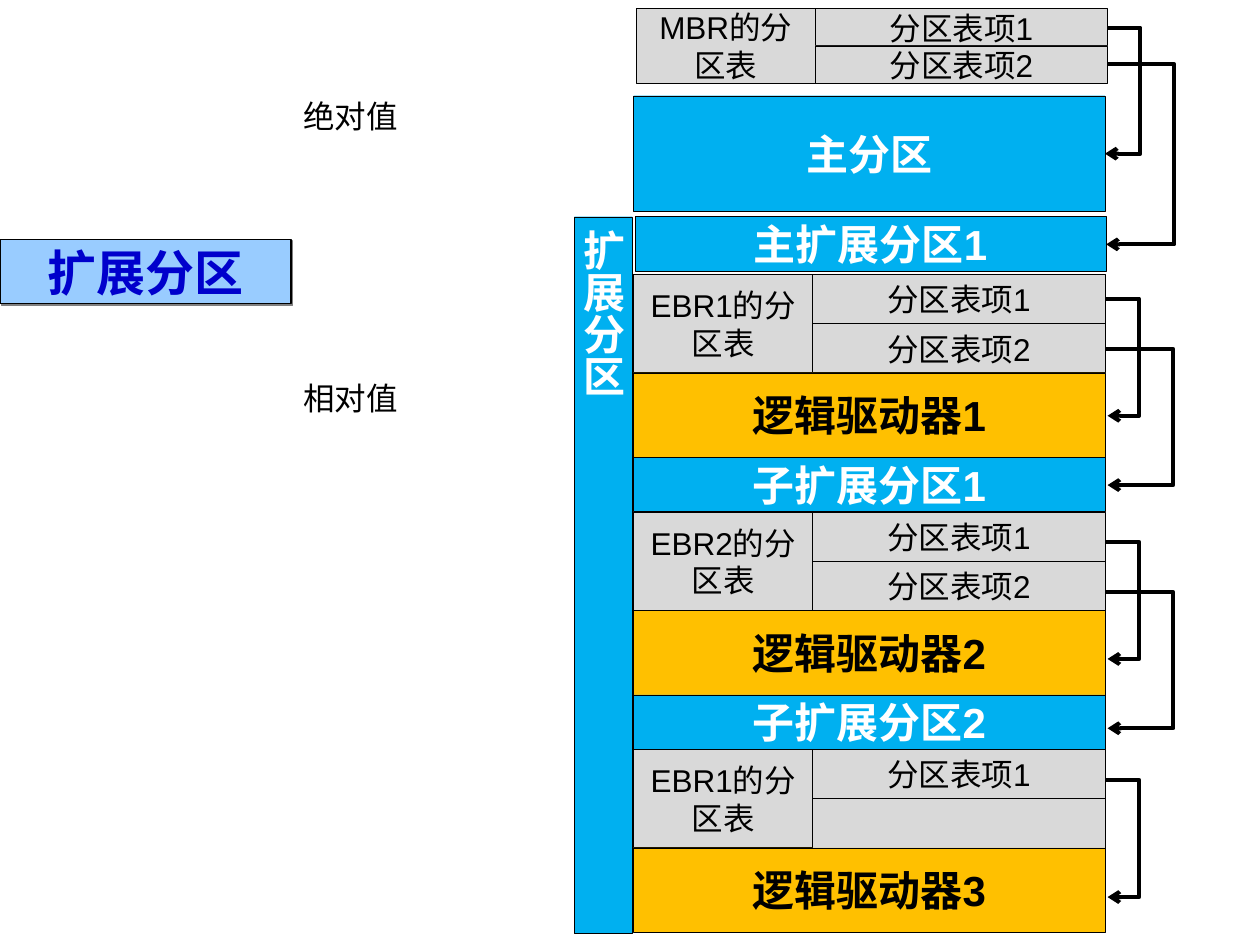
from lxml import etree
from pptx import Presentation
from pptx.dml.color import RGBColor
from pptx.enum.shapes import MSO_CONNECTOR, MSO_SHAPE
from pptx.enum.text import MSO_ANCHOR, MSO_AUTO_SIZE, PP_ALIGN
from pptx.oxml import parse_xml
from pptx.oxml.ns import nsdecls, qn
from pptx.util import Inches, Pt

RECT = MSO_SHAPE.RECTANGLE
ELBOW = MSO_CONNECTOR.ELBOW
MIDDLE = MSO_ANCHOR.MIDDLE
CENTER = PP_ALIGN.CENTER
FIT = MSO_AUTO_SIZE.SHAPE_TO_FIT_TEXT

COLORS = {
    "black": "000000", "white": "FFFFFF", "blue": "00B0F0",
    "gray": "D9D9D9", "gold": "FFC000", "sky": "99CCFF", "navy": "0000CC",
}
STYLES = {
    "table": ("gray", "black", 18, False, 0.5),
    "area": ("blue", "white", 24, True, 0.25),
    "drive": ("gold", "black", 24, True, 0.25),
    "heading": ("sky", "navy", 28, True, 0.75),
}

LEFT, NAME_W, ENTRY_W = 5.03, 1.42, 2.32
FULL_W = NAME_W + ENTRY_W
RIGHT = LEFT + FULL_W
EBR_TOP, PERIOD = 2.18, 1.885
ENTRY_H, DRIVE_H, AREA_H = 0.39, 0.67, 0.43

prs = Presentation()
prs.slide_width, prs.slide_height = Inches(10), Inches(7.5)
s = prs.slides.add_slide(prs.slide_layouts[6])


def add_box(text, style, x, y, w, h):
    fill, ink, size, bold, line = STYLES[style]
    sp = s.shapes.add_shape(RECT, Inches(x), Inches(y), Inches(w), Inches(h))
    sp.shadow.inherit = False
    sp.fill.solid()
    sp.fill.fore_color.rgb = RGBColor.from_string(COLORS[fill])
    sp.line.color.rgb = RGBColor.from_string(COLORS["black"])
    sp.line.width = Pt(line)
    tf = sp.text_frame
    tf.word_wrap = True
    tf.vertical_anchor = MIDDLE
    if text:
        p = tf.paragraphs[0]
        p.alignment = CENTER
        r = p.add_run()
        r.text = text
        r.font.name, r.font.size, r.font.bold = "Arial", Pt(size), bold
        r.font.color.rgb = RGBColor.from_string(COLORS[ink])
    return sp


def add_arrow(x1, y1, x2, y2, bend):
    cn = s.shapes.add_connector(ELBOW, Inches(x1), Inches(y1), Inches(x2), Inches(y2))
    cn.line.color.rgb = RGBColor.from_string(COLORS["black"])
    cn.line.width = Pt(2.25)
    etree.SubElement(cn.line._get_or_add_ln(), qn("a:tailEnd"), type="arrow")
    guides = cn._element.spPr.find(qn("a:prstGeom")).get_or_add_avLst()
    share = round((bend - x1) / (x2 - x1) * 100000)
    etree.SubElement(guides, qn("a:gd"), name="adj1", fmla=f"val {share}")
    etree.SubElement(cn._element.spPr, qn("a:effectLst"))


heading = add_box("扩展分区", "heading", 0, 1.9, 2.31, 0.51)
heading.text_frame.word_wrap = False
spPr = heading._element.spPr
spPr.remove(spPr.find(qn("a:effectLst")))
spPr.append(parse_xml(
    f'<a:effectLst {nsdecls("a")}><a:outerShdw dist="17780" dir="2700000" algn="ctr" rotWithShape="0">'
    '<a:srgbClr val="808080"/></a:outerShdw></a:effectLst>'))

extended = add_box("扩展分区", "area", 4.56, 1.72, 0.46, 5.69)
tf = extended.text_frame
tf.margin_left = tf.margin_right = Inches(0.05)
tf.margin_top = tf.margin_bottom = Inches(0.1)
tf._txBody.bodyPr.set("vert", "eaVert")

tables = [
    ("MBR的分区表", LEFT + 0.02, 0.07, 0.295, ["分区表项1", "分区表项2"]),
    ("EBR1的分区表", LEFT, EBR_TOP, ENTRY_H, ["分区表项1", "分区表项2"]),
    ("EBR2的分区表", LEFT, EBR_TOP + PERIOD, ENTRY_H, ["分区表项1", "分区表项2"]),
    ("EBR1的分区表", LEFT, EBR_TOP + 2 * PERIOD, ENTRY_H, ["分区表项1", ""]),
]
for name, x, y, h, entries in tables:
    add_box(name, "table", x, y, NAME_W, 2 * h)
    for row, entry in enumerate(entries):
        add_box(entry, "table", x + NAME_W, y + row * h, ENTRY_W, h)

add_box("主分区", "area", LEFT, 0.76, FULL_W, 0.92)
add_box("主扩展分区1", "area", LEFT + 0.01, 1.72, FULL_W, AREA_H)
for i in range(3):
    drive_top = EBR_TOP + 2 * ENTRY_H + i * PERIOD
    add_box(f"逻辑驱动器{i + 1}", "drive", LEFT, drive_top, FULL_W, DRIVE_H)
    if i < 2:
        add_box(f"子扩展分区{i + 1}", "area", LEFT, drive_top + DRIVE_H, FULL_W, AREA_H)

add_arrow(RIGHT + 0.02, 0.22, RIGHT, 1.22, 9.05)
add_arrow(RIGHT + 0.02, 0.51, RIGHT + 0.01, 1.94, 9.33)
for i, y in enumerate([2.37, 4.3, 6.19]):
    add_arrow(RIGHT, y, RIGHT + 0.02, y + 0.93, 9.04)
    if i < 2:
        add_arrow(RIGHT, y + 0.4, RIGHT + 0.02, y + 1.48, 9.31)

for text, y in [("绝对值", 0.72), ("相对值", 2.96)]:
    tb = s.shapes.add_textbox(Inches(2.31), Inches(y), Inches(0.95), Inches(0.4))
    tf = tb.text_frame
    tf.word_wrap = False
    tf.auto_size = FIT
    r = tf.paragraphs[0].add_run()
    r.text = text
    r.font.name, r.font.size = "Arial", Pt(18)
    r.font.color.rgb = RGBColor.from_string(COLORS["black"])

prs.save("out.pptx")
